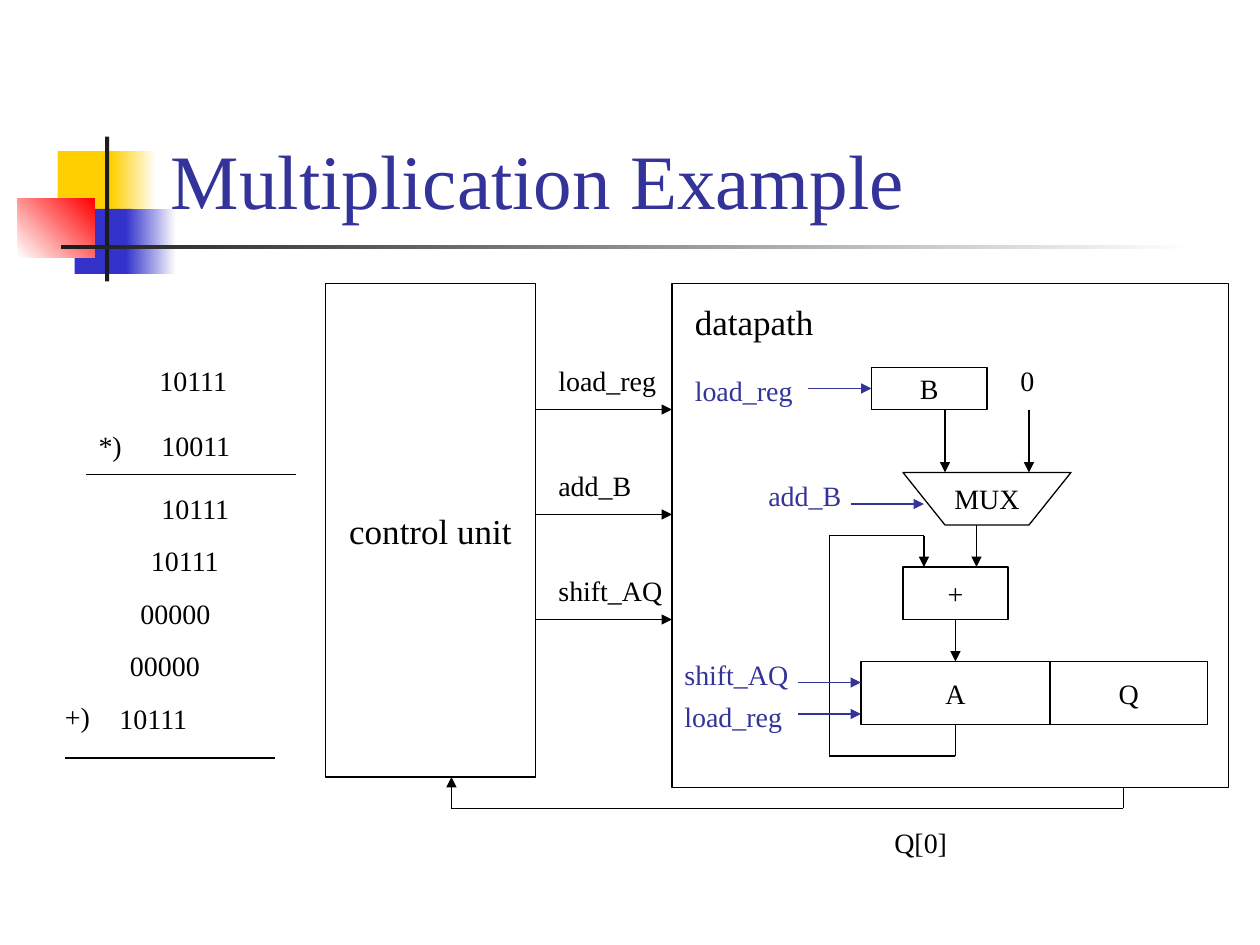
"""Draw the multiplication example slide on a grid of 120 by 90 cells."""
from dataclasses import dataclass
from itertools import pairwise

from lxml import etree
from pptx import Presentation
from pptx import util as u
from pptx.dml.color import RGBColor as Rgb
from pptx.enum import shapes, text
from pptx.oxml import ns


@dataclass(frozen=True)
class Theme:
    """Hold the colours, font and type sizes."""
    font: str = "Times New Roman"
    ink: str = "000000"
    blue: str = "333399"
    white: str = "FFFFFF"
    gold: str = "FFCF01"
    navy: str = "3333CC"
    red: str = "FF0000"
    dark: str = "1C1C1C"
    title: int = 44
    head: int = 20
    body: int = 16
    line: float = 0.75


look = Theme()
cell = u.Inches(10) // 120
rect = shapes.MSO_SHAPE.RECTANGLE
wide = {"load_reg": 11.8, "add_B": 9.4, "shift_AQ": 12.4}


def scale(*cells):
    """Turn grid cells into slide lengths."""
    return [u.Emu(round(n * cell)) for n in cells]


def shift(box, x, y):
    """Move a point from the box to the slide."""
    return box[0] + x, box[1] + y


def write(shape, words, size, color, align, anchor):
    """Write one run of text in a shape."""
    frame = shape.text_frame
    frame.word_wrap = False
    frame.vertical_anchor = anchor
    para = frame.paragraphs[0]
    para.alignment = align
    run = para.add_run()
    run.text = words
    run.font.name = look.font
    run.font.size = u.Pt(size)
    run.font.color.rgb = Rgb.from_string(color)


def label(page, box, words, x, y, w, h=4.4, size=look.body, color=look.ink,
          anchor=text.MSO_ANCHOR.TOP):
    """Place left-aligned text in the box."""
    area = page.shapes.add_textbox(*scale(*shift(box, x, y), w, h))
    write(area, words, size, color, text.PP_ALIGN.LEFT, anchor)


def outline(shape, words="", size=look.body):
    """Give a shape a thin line and centred text."""
    shape.shadow.inherit = False
    shape.fill.background()
    shape.line.color.rgb = Rgb.from_string(look.ink)
    shape.line.width = u.Pt(look.line)
    if words:
        write(shape, words, size, look.ink, text.PP_ALIGN.CENTER,
              text.MSO_ANCHOR.MIDDLE)


def block(page, box, x, y, w, h, words="", size=look.body):
    """Place an outlined block in the box."""
    area = scale(*shift(box, x, y), w, h)
    outline(page.shapes.add_shape(rect, *area), words, size)


def wire(page, box, points, head=True, color=look.ink):
    """Join points with lines, the last with an arrowhead."""
    pairs = list(pairwise(points))
    for step, (start, end) in enumerate(pairs, 1):
        link = page.shapes.add_connector(
            shapes.MSO_CONNECTOR.STRAIGHT,
            *scale(*shift(box, *start), *shift(box, *end)))
        link.line.color.rgb = Rgb.from_string(color)
        link.line.width = u.Pt(look.line)
        if head and step == len(pairs):
            etree.SubElement(link.line._get_or_add_ln(), ns.qn("a:tailEnd"),
                             type="triangle")
        etree.SubElement(link._element.spPr, ns.qn("a:effectLst"))


def emblem(page, box):
    """Draw the coloured squares and the two bars."""
    for x, y, w, h, first, last, turn in (
            (3.8, 1.4, 5.8, 6.2, look.gold, None, 0),
            (8.9, 1.4, 4.3, 6.2, look.gold, look.white, 0),
            (5.4, 6.9, 5.5, 6.2, look.navy, None, 0),
            (10.3, 6.9, 4.8, 6.2, look.navy, look.white, 0),
            (0, 5.9, 7.3, 5.6, look.white, look.red, 45),
            (8.3, 0, 0.4, 13.8, look.dark, None, 0),
            (4.1, 10.35, 108, 0.4, look.dark, look.white, 0)):
        part = page.shapes.add_shape(rect, *scale(*shift(box, x, y), w, h))
        part.shadow.inherit = False
        part.line.fill.background()
        if last is None:
            part.fill.solid()
            part.fill.fore_color.rgb = Rgb.from_string(first)
            continue
        part.fill.gradient()
        part.fill.gradient_angle = turn
        for stop, color in zip(part.fill.gradient_stops, (first, last)):
            stop.color.rgb = Rgb.from_string(color)


def title(page, box):
    """Write the slide title."""
    label(page, box, "Multiplication Example", 0, 0, *box[2:],
          size=look.title, color=look.blue, anchor=text.MSO_ANCHOR.BOTTOM)


def sums(page, box):
    """Set out the long multiplication."""
    label(page, box, "10111", 9, 0, 9.1)
    label(page, box, "10011", 9.2, 6.2, 9.1)
    for row, term in enumerate(("10111", "10111", "00000", "00000", "10111")):
        label(page, box, term, 9.2 - row, 12.2 + 5 * row, 9.1)
    label(page, box, "*)", 3.2, 6.2, 4.7)
    label(page, box, "+)", 0, 32, 4.8)
    for x, y in ((3.2, 11.2), (1.2, 38.2)):
        wire(page, box, ((x, y), (x + 20, y)), head=False)


def control(page, box):
    """Draw the control unit."""
    block(page, box, 0, 0, *box[2:], "control unit", look.head)


def buses(page, box):
    """Draw the control signals between the units."""
    for row, (name, width) in enumerate(wide.items()):
        y = 12 + 10 * row
        wire(page, box, ((0, y), (box[2], y)))
        label(page, box, name, 1, y - 5, width)


def datapath(page, box):
    """Draw the registers, multiplexer and adder."""
    block(page, box, 0, 0, *box[2:])
    label(page, box, "datapath", 1, 1, 13.7, 5.2, look.head)
    for words, *area in (("A", 18, 36, 18, 6), ("Q", 36, 36, 15, 6),
                         ("+", 22, 27, 10, 5), ("B", 19, 8, 11, 4)):
        block(page, box, *area, words)
    corners = [scale(*shift(box, x, y))
               for x, y in ((22, 18), (26, 23), (34, 23), (38, 18))]
    pen = page.shapes.build_freeform(*corners[0])
    pen.add_line_segments(corners[1:], close=True)
    outline(pen.convert_to_shape(), "MUX")
    label(page, box, "0", 32, 7, 3.7)
    for x, top, end in ((26, 12, 18), (34, 12, 18), (29, 23, 27),
                        (27, 32, 36)):
        wire(page, box, ((x, top), (x, end)))
    wire(page, box, ((27, 42), (27, 45), (15, 45), (15, 24), (24, 24),
                     (24, 27)))
    for name, x, y, start, end, level in (
            ("load_reg", 1, 8, 13, 19, 10), ("add_B", 8, 18, 17, 24, 21),
            ("shift_AQ", 0, 35, 12, 18, 38), ("load_reg", 0, 39, 12, 18, 41)):
        label(page, box, name, x, y, wide[name], color=look.blue)
        wire(page, box, ((start, level), (end, level)), color=look.blue)


def feedback(page, box):
    """Draw the return path to the control unit."""
    w, h = box[2:]
    wire(page, box, ((w, 1), (w, h), (0, h), (0, 0)))
    label(page, box, "Q[0]", 41, h + 1, 7.4)


def main():
    """Build and save the slide."""
    deck = Presentation()
    deck.slide_width, deck.slide_height = scale(120, 90)
    page = deck.slides.add_slide(deck.slide_layouts[6])
    for draw, box in ((emblem, (1.7, 13, 112, 14)),
                      (title, (15.1, 2.8, 102.2, 19.2)),
                      (sums, (5, 34, 24, 39)),
                      (datapath, (64, 27, 53, 48)),
                      (control, (31, 27, 20, 47)),
                      (buses, (51, 27, 13, 32)),
                      (feedback, (43, 74, 64, 3))):
        draw(page, box)
    deck.save("out.pptx")


if __name__ == "__main__":
    main()
